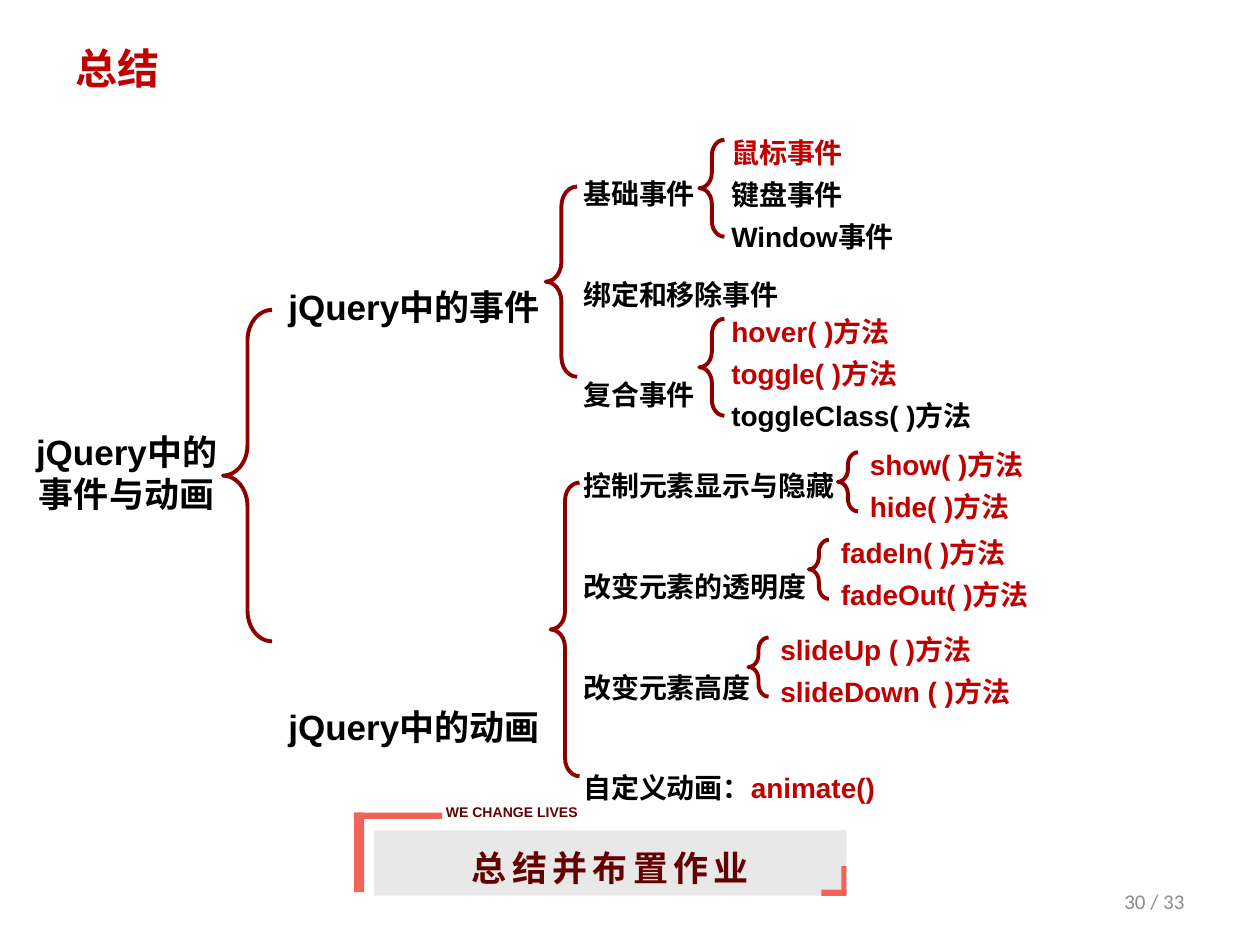
import collections

import pptx
import pptx.dml.color
import pptx.enum.shapes
import pptx.enum.text
import pptx.oxml.ns
import pptx.util
from lxml import etree

Pt = pptx.util.Pt
Align = pptx.enum.text.PP_ALIGN
Anchor = pptx.enum.text.MSO_ANCHOR
AutoSize = pptx.enum.text.MSO_AUTO_SIZE
Shape = pptx.enum.shapes.MSO_SHAPE

Box = collections.namedtuple("Box", "left top width height")


class Theme:
    black, red, brace = "000000", "C00000", "8E0000"
    maroon, coral, panel, gray = "640000", "F26257", "E8E8E8", "8C8C8C"
    latin, chinese, number = "Arial", "Noto Sans CJK SC", "Calibri"
    title, heading, body, small, tagline = 24, 20, 16, 12, 8
    brace_line = 2.25


def rgb(color):
    return pptx.dml.color.RGBColor.from_string(color)


def lengths(box):
    return [Pt(value) for value in box]


def inside(box, left, top, width, height):
    return Box(box.left + left, box.top + top, width, height)


def add_run(paragraph, text, size, color, font=Theme.latin, bold=True, spacing=0):
    run = paragraph.add_run()
    run.text = text
    run.font.size = Pt(size)
    run.font.bold = bold
    run.font.color.rgb = rgb(color)
    run.font.name = font
    properties = run._r.get_or_add_rPr()
    east_asian = etree.SubElement(properties, pptx.oxml.ns.qn("a:ea"))
    east_asian.set("typeface", Theme.chinese)
    if spacing:
        properties.set("spc", str(spacing * 100))


def add_label(shapes, box, rows, size, spacing=None, first_spacing=None,
              align=Align.LEFT, anchor=Anchor.TOP, wrap=True, grow=True, **style):
    """Each row is a list of (text, color) runs."""
    frame = shapes.add_textbox(*lengths(box)).text_frame
    frame.word_wrap = wrap
    frame.vertical_anchor = anchor
    frame.auto_size = AutoSize.SHAPE_TO_FIT_TEXT if grow else AutoSize.NONE
    for index, row in enumerate(rows):
        paragraph = frame.add_paragraph() if index else frame.paragraphs[0]
        paragraph.alignment = align
        paragraph.line_spacing = spacing if index else first_spacing
        for text, color in row:
            add_run(paragraph, text, size, color, **style)


def add_brace(shapes, box):
    brace = shapes.add_shape(Shape.LEFT_BRACE, *lengths(box))
    brace.shadow.inherit = False
    brace.adjustments[0] = 0.62
    brace.fill.background()
    brace.line.color.rgb = rgb(Theme.brace)
    brace.line.width = Pt(Theme.brace_line)


def add_bar(shapes, box, color):
    bar = shapes.add_shape(Shape.RECTANGLE, *lengths(box))
    bar.shadow.inherit = False
    bar.fill.solid()
    bar.fill.fore_color.rgb = rgb(color)
    bar.line.fill.background()
    return bar


def add_detail(shapes, box, rows):
    """Place a small brace in the box and its list of items to the right."""
    add_brace(shapes, box)
    line = Pt(24)
    text_box = inside(box, 11.2, -11, 165, 24 * len(rows) + 7.2)
    add_label(shapes, text_box, [[row] for row in rows], Theme.body, line, line)


def add_topics(shapes, box, rows, brace):
    """Place topics three lines apart, with a brace relative to their box."""
    add_brace(shapes, inside(box, *brace))
    add_label(shapes, box, rows, Theme.body, 3)


def add_summary_tree(shapes, box):
    black, red = Theme.black, Theme.red
    add_label(shapes, inside(box, 0, 162.7, 121.7, 55.4),
              [[("jQuery中的事件与动画", black)]], Theme.heading, align=Align.CENTER)
    add_brace(shapes, inside(box, 115.9, 97.2, 28.1, 189.4))
    add_label(shapes, inside(box, 146.2, 79.9, 167.8, 273.6),
              [[("jQuery中的事件", black)], [("jQuery中的动画", black)]],
              Theme.heading, 9.99)

    add_topics(shapes, inside(box, 314.7, 17.3, 128, 143.3),
               [[("基础事件", black)], [("绑定和移除事件", black)], [("复合事件", black)]],
               (-14.4, 9.4, 18, 108.7))
    add_topics(shapes, inside(box, 314.7, 184.3, 195.8, 200.9),
               [[("控制元素显示与隐藏", black)], [("改变元素的透明度", black)],
                [("改变元素高度", black)], [("自定义动画：", black), ("animate()", red)]],
               (-11.6, 11.6, 16.6, 167.8))

    details = [
        (388.1, 0, [("鼠标事件", red), ("键盘事件", black), ("Window事件", black)]),
        (388.1, 102.3, [("hover( )方法", red), ("toggle( )方法", red),
                        ("toggleClass( )方法", black)]),
        (467.3, 178.6, [("show( )方法", red), ("hide( )方法", red)]),
        (450.7, 228.6, [("fadeIn( )方法", red), ("fadeOut( )方法", red)]),
        (416.2, 284.4, [("slideUp ( )方法", red), ("slideDown ( )方法", red)]),
    ]
    brace_sizes = {2: (11.5, 33.8), 3: (14.4, 55.4)}
    for left, top, rows in details:
        add_detail(shapes, inside(box, left, top, *brace_sizes[len(rows)]), rows)


def add_banner(slide, box):
    shapes = slide.shapes.add_group_shape().shapes
    panel = add_bar(shapes, inside(box, 11.5, 18.7, 270, 37.4), Theme.panel)
    frame = panel.text_frame
    frame.word_wrap = True
    frame.vertical_anchor = Anchor.TOP
    frame.margin_top = Pt(9.4)
    frame.paragraphs[0].alignment = Align.CENTER
    add_run(frame.paragraphs[0], "总结并布置作业", Theme.heading, Theme.maroon,
            Theme.chinese, spacing=3)
    corner_bars = [
        (0, 8.6, 50.4, 3.6), (0, 8.6, 5.8, 45.4),
        (278.5, 39.2, 2.9, 16.6), (267.1, 52.5, 14.3, 3.6),
    ]
    for bar in corner_bars:
        add_bar(shapes, inside(box, *bar), Theme.coral)
    add_label(shapes, inside(box, 45.4, 0, 95, 17.3),
              [[("WE CHANGE LIVES", Theme.maroon)]], Theme.tagline, wrap=False)


def main():
    presentation = pptx.Presentation()
    presentation.slide_width, presentation.slide_height = Pt(720), Pt(540)
    slide = presentation.slides.add_slide(presentation.slide_layouts[6])
    add_label(slide.shapes, Box(36, 21.6, 648, 34.6), [[("总结", Theme.red)]],
              Theme.title, anchor=Anchor.MIDDLE, grow=False, font=Theme.chinese)
    add_summary_tree(slide.shapes, Box(11.5, 79.9, 610, 385))
    add_banner(slide, Box(202.3, 455.8, 281.5, 56.1))
    add_label(slide.shapes, Box(516.2, 500.4, 167.8, 28.8), [[("30 / 33", Theme.gray)]],
              Theme.small, align=Align.RIGHT, anchor=Anchor.MIDDLE, grow=False,
              font=Theme.number, bold=False)
    presentation.save("out.pptx")


if __name__ == "__main__":
    main()
